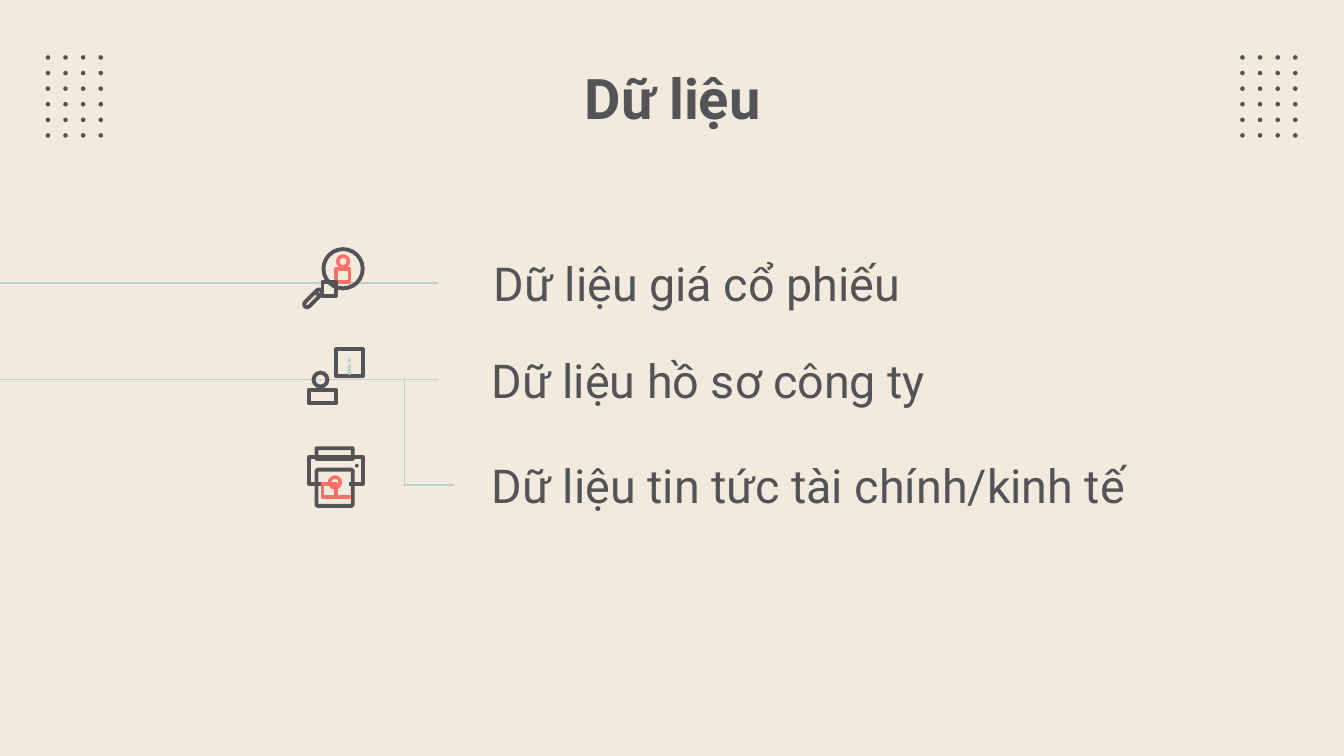
import math

import pptx
import pptx.dml.color
import pptx.enum.shapes
import pptx.enum.text
import pptx.oxml
import pptx.oxml.ns
import pptx.util

SHAPE = pptx.enum.shapes.MSO_SHAPE
LINK = pptx.enum.shapes.MSO_CONNECTOR
ANCHOR = pptx.enum.text.MSO_ANCHOR
ALIGN = pptx.enum.text.PP_ALIGN
CELL = pptx.util.Inches(0.1)
COLS, ROWS = 100, 56.25
INK = {"paper": "F2EADD", "dark": "545457", "coral": "FF706B", "mint": "BBD3C7"}


def grid(*spans):
    """Turn grid cells into lengths."""
    return [round(span * CELL) for span in spans]


def tint(name):
    return pptx.dml.color.RGBColor.from_string(INK[name])


def arc(x, y, wide, tall, start, stop, steps=24):
    """List points on an ellipse; degrees run clockwise from the right."""
    turns = [math.radians(start + (stop - start) * i / steps) for i in range(steps + 1)]
    return [(x + wide * math.cos(t), y + tall * math.sin(t)) for t in turns]


class Board:
    font = "Roboto"
    pen = 2.1

    def __init__(self, deck):
        self.slide = deck.slides.add_slide(deck.slide_layouts[6])
        self.items = self.slide.shapes
        back = self.slide.background.fill
        back.solid()
        back.fore_color.rgb = tint("paper")

    def paint(self, shape, fill, line, pen=None):
        shape.shadow.inherit = False
        if fill:
            shape.fill.solid()
            shape.fill.fore_color.rgb = tint(fill)
        else:
            shape.fill.background()
        if line:
            shape.line.color.rgb = tint(line)
            shape.line.width = pptx.util.Pt(pen or self.pen)
        else:
            shape.line.fill.background()
        return shape

    def text(self, words, x, y, w, h, size=25, bold=False, anchor=ANCHOR.MIDDLE, top=1):
        box = self.items.add_textbox(*grid(x, y, w, h))
        frame = box.text_frame
        frame.word_wrap = True
        frame.vertical_anchor = anchor
        frame.margin_left, frame.margin_top, frame.margin_right, frame.margin_bottom = grid(1, top, 1, 1)
        para = frame.paragraphs[0]
        para.alignment = ALIGN.CENTER
        run = para.add_run()
        run.text = words
        run.font.name, run.font.size, run.font.bold = self.font, pptx.util.Pt(size), bold
        run.font.color.rgb = tint("dark")
        return box

    def oval(self, x, y, r, fill=None, line=None, pen=None):
        """Draw a circle around a centre."""
        shape = self.items.add_shape(SHAPE.OVAL, *grid(x - r, y - r, 2 * r, 2 * r))
        return self.paint(shape, fill, line, pen)

    def box(self, x, y, w, h, fill=None, line="dark", bend=0.05, turn=0):
        """Draw a rounded box around a centre."""
        shape = self.items.add_shape(SHAPE.ROUNDED_RECTANGLE, *grid(x - w / 2, y - h / 2, w, h))
        shape.adjustments[0] = bend
        shape.rotation = turn
        return self.paint(shape, fill, line)

    def free(self, dots, line="dark", close=True, pen=None):
        form = self.items.build_freeform(*dots[0], scale=CELL)
        form.add_line_segments(dots[1:], close=close)
        return self.paint(form.convert_to_shape(), None, line, pen)

    def link(self, x, y, to_x, to_y, kind=LINK.STRAIGHT, color="mint", pen=0.75, bend=None):
        wire = self.items.add_connector(kind, *grid(x, y, to_x, to_y))
        wire.line.color.rgb = tint(color)
        wire.line.width = pptx.util.Pt(pen)
        props = wire._element.spPr
        props.append(pptx.oxml.parse_xml("<a:effectLst %s/>" % pptx.oxml.ns.nsdecls("a")))
        if bend is not None:
            guide = '<a:gd %s name="adj1" fmla="val %d"/>' % (pptx.oxml.ns.nsdecls("a"), bend * 100000)
            props.prstGeom.get_or_add_avLst().append(pptx.oxml.parse_xml(guide))
        return wire

    def dots(self, left, top):
        for row in range(6):
            for col in range(4):
                self.oval(left + 1.31 * col, top + 1.16 * row, 0.17, fill="dark")

    def human(self, x, y, r, half, drop, color, pen):
        """Draw a head around a centre, with a domed body below it."""
        base = y + drop
        dome = arc(x, base - 0.2, half, drop - r - 0.2, 180, 360)
        self.free([(x - half, base), *dome, (x + half, base)], color, pen=pen)
        self.oval(x, y, r, line=color, pen=pen)

    def lens(self):
        self.human(25.53, 19.45, 0.4, 0.68, 1.25, "coral", 1.9)
        self.oval(25.53, 20, 1.46, line="dark")
        self.free([(24.1, 20.7), (24.8, 21.4), (24.55, 21.7), (24.3, 21.75), (23.8, 21.25), (23.8, 21)])
        self.box(23.3, 22.2, 1.7, 0.44, bend=0.5, turn=-45)
        self.link(23.5, 21.75, 23.8, 22.05, color="dark", pen=self.pen)

    def chat(self):
        self.human(23.85, 28.25, 0.52, 1.1, 2.2, "dark", self.pen)
        self.free([*arc(26, 27.2, 1.06, 1.06, 150, 477), (24.95, 28.25)])
        self.oval(26, 26.8, 0.13, fill="mint")
        self.box(26, 27.5, 0.26, 0.8, fill="mint", line=None, bend=0.5)

    def press(self):
        """Draw the printer."""
        self.box(24.9, 33.75, 2.7, 0.8)
        left = arc(23.05, 35.75, 0.3, 0.3, 90, 180, 6) + arc(23.05, 34.45, 0.3, 0.3, 180, 270, 6)
        right = [(49.8 - x, y) for x, y in reversed(left)]
        self.free([(23.55, 36.05), *left, *right, (26.25, 36.05)], close=False)
        self.box(24.9, 36.3, 2.7, 2.7)
        self.oval(26.55, 34.65, 0.14, fill="dark")
        self.human(24.92, 35.9, 0.4, 0.68, 1.25, "coral", 1.9)


def main():
    deck = pptx.Presentation()
    deck.slide_width, deck.slide_height = grid(COLS, ROWS)
    board = Board(deck)
    for left in (3.57, 92.45):
        board.dots(left, 4.28)
    board.text("Dữ liệu", 7.9, 4, 84.3, 6.3, size=30, bold=True, anchor=ANCHOR.TOP, top=0.7)

    rows = [
        ("Dữ liệu giá cổ phiếu", 32.6, 21.05, 38.5),
        ("Dữ liệu hồ sơ công ty", 32.6, 28.25, 40.2),
        ("Dữ liệu tin tức tài chính/kinh tế", 33.8, 36.1, 52.7),
    ]
    boxes = [board.text(words, x, y - 1.95, w, 3.9) for words, x, y, w in rows]
    for (words, x, y, w), box in list(zip(rows, boxes))[:2]:
        board.link(0, y, x, y).end_connect(box, 1)
    (x, y), (to_x, to_y) = rows[1][1:3], rows[2][1:3]
    fork = board.link(x, y, to_x, to_y, kind=LINK.ELBOW, bend=-2.5 / (to_x - x))
    fork.begin_connect(boxes[1], 1)
    fork.end_connect(boxes[2], 1)

    board.lens()
    board.chat()
    board.press()
    deck.save("out.pptx")


if __name__ == "__main__":
    main()
